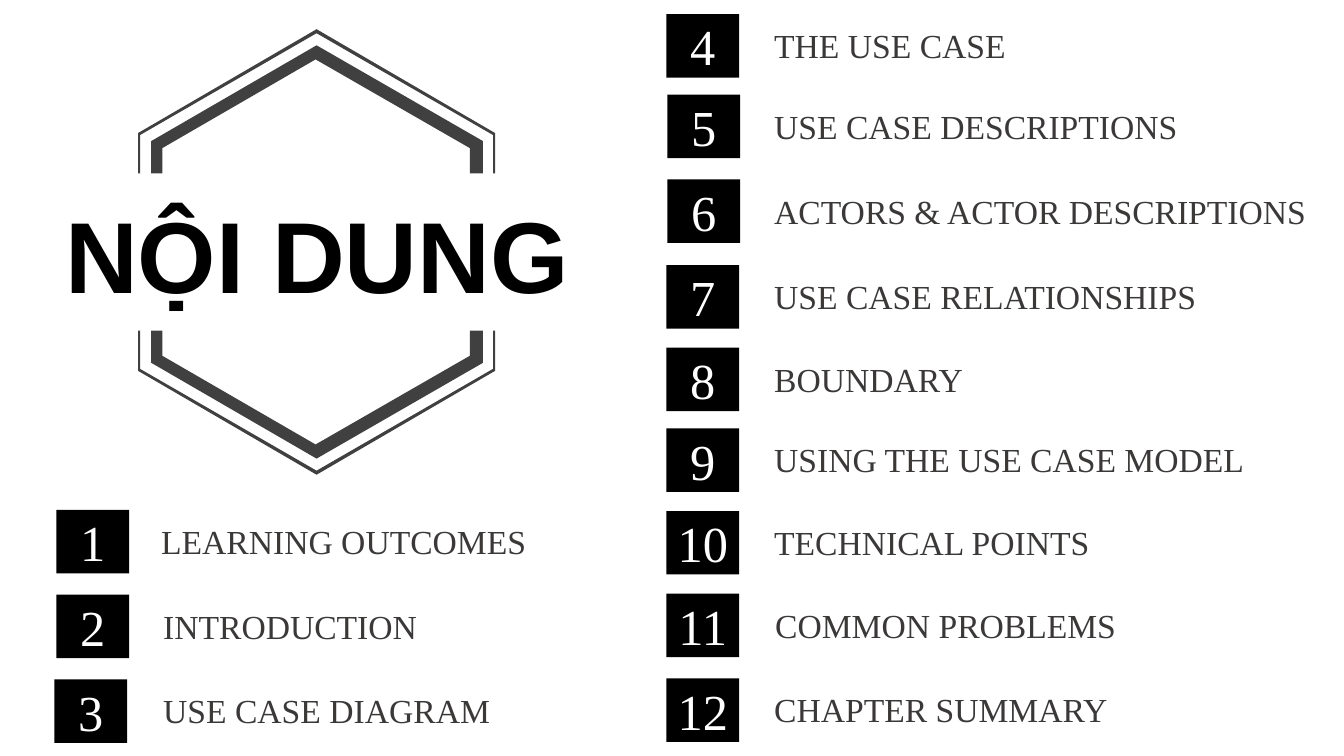
from pptx import Presentation
from pptx.dml.color import RGBColor
from pptx.enum.shapes import MSO_SHAPE
from pptx.enum.text import MSO_ANCHOR, MSO_AUTO_SIZE, PP_ALIGN
from pptx.util import Inches, Pt

BLACK = RGBColor(0x00, 0x00, 0x00)
WHITE = RGBColor(0xFF, 0xFF, 0xFF)
LABEL_GRAY = RGBColor(0x3B, 0x38, 0x38)
FRAME_GRAY = RGBColor(0x40, 0x40, 0x40)
SERIF = "Times New Roman"

# Label, box left, box top, label left, label width
TOPICS = [
    ("LEARNING OUTCOMES", 0.56, 5.06, 1.5, 3.86),
    ("INTRODUCTION", 0.56, 5.9, 1.52, 2.75),
    ("USE CASE DIAGRAM", 0.54, 6.74, 1.52, 3.48),
    ("THE USE CASE", 6.61, 0.14, 7.58, 2.52),
    ("USE CASE DESCRIPTIONS", 6.62, 0.94, 7.58, 4.24),
    ("ACTORS & ACTOR DESCRIPTIONS", 6.62, 1.78, 7.58, 5.53),
    ("USE CASE RELATIONSHIPS", 6.61, 2.63, 7.58, 4.43),
    ("BOUNDARY", 6.61, 3.45, 7.58, 2.09),
    ("USING THE USE CASE MODEL", 6.61, 4.25, 7.58, 4.91),
    ("TECHNICAL POINTS", 6.61, 5.07, 7.58, 3.36),
    ("COMMON PROBLEMS", 6.61, 5.89, 7.59, 3.62),
    ("CHAPTER SUMMARY", 6.61, 6.73, 7.58, 3.54),
]
LABEL_DROP = 0.06

# Upper halves of the hexagon frame; the lower halves mirror them
THIN_BAND = [(1.39, 1.72), (1.39, 1.34), (3.14, 0.33), (4.89, 1.34), (4.89, 1.72),
             (4.91, 1.72), (4.91, 1.32), (3.14, 0.29), (1.37, 1.32), (1.37, 1.72)]
THICK_BAND = [(1.61, 1.72), (1.61, 1.47), (3.13, 0.59), (4.66, 1.47), (4.66, 1.72),
              (4.79, 1.72), (4.79, 1.4), (3.14, 0.45), (1.5, 1.4), (1.5, 1.72)]
MIRROR_SUM = 5.0  # upper y + lower y


def add_run(paragraph, text, size, font_name, color, bold=False):
    run = paragraph.add_run()
    run.text = text
    run.font.size = Pt(size)
    run.font.name = font_name
    run.font.color.rgb = color
    run.font.bold = bold


def paint(shape, color):
    """Give the shape a plain fill without line or shadow."""
    shape.shadow.inherit = False
    shape.fill.solid()
    shape.fill.fore_color.rgb = color
    shape.line.fill.background()


def format_title(slide):
    title = slide.shapes.title
    title.left, title.top = Inches(0.4), Inches(1.86)
    title.width, title.height = Inches(5.49), Inches(1.31)
    frame = title.text_frame
    frame.word_wrap = True
    frame.auto_size = MSO_AUTO_SIZE.NONE
    frame.vertical_anchor = MSO_ANCHOR.TOP
    paragraph = frame.paragraphs[0]
    paragraph.alignment = PP_ALIGN.CENTER
    add_run(paragraph, "NỘI DUNG", 72, "Arial", BLACK, bold=True)


def add_band(slide, points):
    corners = [(Inches(x), Inches(y)) for x, y in points]
    builder = slide.shapes.build_freeform(*corners[0])
    builder.add_line_segments(corners[1:], close=True)
    paint(builder.convert_to_shape(), FRAME_GRAY)


def add_number_box(slide, number, left, top):
    box = slide.shapes.add_shape(MSO_SHAPE.RECTANGLE, Inches(left), Inches(top),
                                 Inches(0.72), Inches(0.63))
    paint(box, BLACK)
    frame = box.text_frame
    frame.word_wrap = True
    frame.vertical_anchor = MSO_ANCHOR.MIDDLE
    # Two digits at this size need almost the full width of the box
    frame.margin_left = frame.margin_right = Inches(0)
    paragraph = frame.paragraphs[0]
    paragraph.alignment = PP_ALIGN.CENTER
    add_run(paragraph, str(number), 36, SERIF, WHITE)


def add_label(slide, text, left, top, width):
    label = slide.shapes.add_textbox(Inches(left), Inches(top), Inches(width), Inches(0.5))
    frame = label.text_frame
    frame.word_wrap = False
    frame.auto_size = MSO_AUTO_SIZE.SHAPE_TO_FIT_TEXT
    add_run(frame.paragraphs[0], text, 24, SERIF, LABEL_GRAY)


def main():
    presentation = Presentation()
    presentation.slide_width, presentation.slide_height = Inches(13.33), Inches(7.5)
    slide = presentation.slides.add_slide(presentation.slide_layouts[5])
    format_title(slide)
    for band in (THIN_BAND, THICK_BAND):
        add_band(slide, band)
        add_band(slide, [(x, MIRROR_SUM - y) for x, y in band])
    for number, (text, box_left, top, label_left, width) in enumerate(TOPICS, start=1):
        add_number_box(slide, number, box_left, top)
        add_label(slide, text, label_left, top + LABEL_DROP, width)
    presentation.save("out.pptx")


if __name__ == "__main__":
    main()
